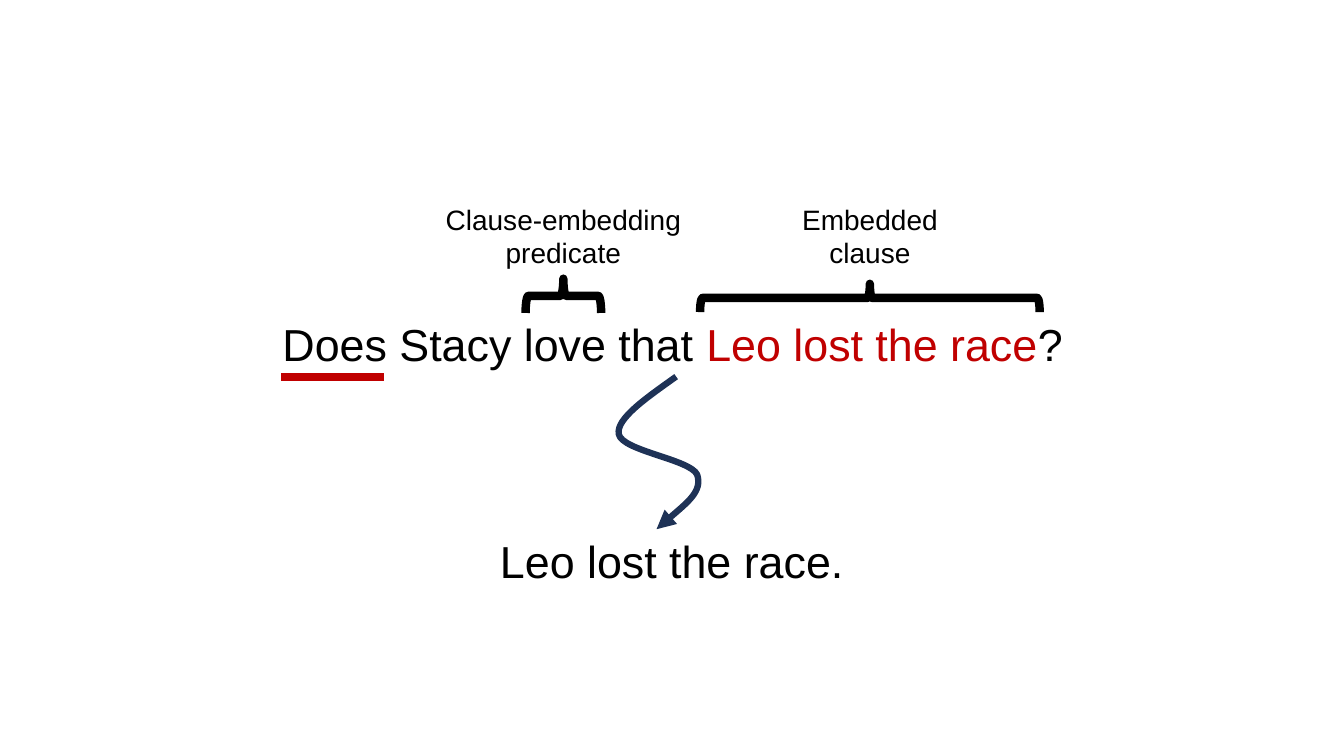
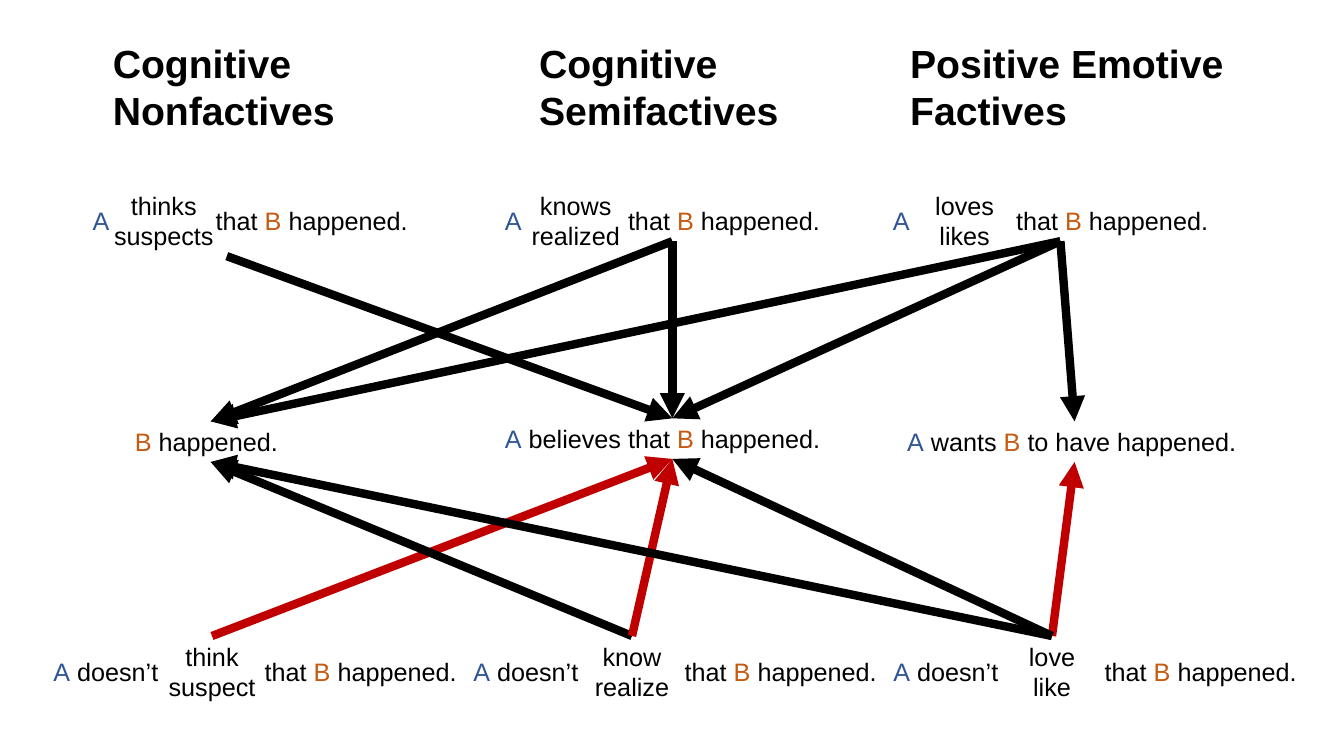
from pptx import Presentation
from pptx.dml.color import RGBColor as Rgb
from pptx.enum.shapes import MSO_CONNECTOR as Link, MSO_SHAPE as Form
from pptx.enum.text import PP_ALIGN as Align
from pptx.oxml.ns import qn
from pptx.util import Pt
from lxml.etree import SubElement as Sub

FONT = "Arial"
BLACK, RED, NAVY = "000000", "C00000", "1E3256"
BLUE, ORANGE = "2F5597", "C55A11"
TOP, BOTTOM = 0, 2


def tint(target, color):
    """Set a fill or font colour from a hex string."""
    target.rgb = Rgb.from_string(color)


def text(slide, at, lines, size, align=Align.LEFT, bold=False, tab=None):
    """Add a text box; each line is a string or a list of (words, colour)."""
    box = slide.shapes.add_textbox(*map(Pt, at))
    frame = box.text_frame
    frame.word_wrap = True
    for i, line in enumerate(lines):
        para = frame.add_paragraph() if i else frame.paragraphs[0]
        para.alignment = align
        if tab:
            stops = Sub(para._p.get_or_add_pPr(), qn("a:tabLst"))
            Sub(stops, qn("a:tab"), pos=str(Pt(tab)), algn="l")
        font = para.font
        font.name, font.size, font.bold = FONT, Pt(size), bold
        tint(font.color, BLACK)
        for words, color in [(line, BLACK)] if isinstance(line, str) else line:
            run = para.add_run()
            run.text = words
            if color != BLACK:
                tint(run.font.color, color)
    return box


def stroke(shape, color, width, head=False):
    """Style a line, with a triangle at its end if wanted."""
    line = shape.line
    tint(line.color, color)
    line.width = Pt(width)
    if head:
        Sub(line._get_or_add_ln(), qn("a:tailEnd"), type="triangle")


def rule(slide, start, end, color, head=False):
    """Add a thick straight line between two points."""
    line = slide.shapes.add_connector(Link.STRAIGHT, *map(Pt, start + end))
    stroke(line, color, 6, head)
    Sub(line._element.spPr, qn("a:effectLst"))
    return line


def mid(box, side):
    """Return the middle of a box's top or bottom, in points."""
    edge = box.top + (box.height if side == BOTTOM else 0)
    return (box.left + box.width / 2) / Pt(1), edge / Pt(1)


def arrow(slide, start, target, side, color=BLACK):
    """Add an arrow from a point or a joined box to a target box."""
    joined = not isinstance(start, tuple)
    away = BOTTOM if side == TOP else TOP
    begin = mid(start, away) if joined else start
    line = rule(slide, begin, mid(target, side), color, True)
    if joined:
        line.begin_connect(start, away)
    line.end_connect(target, side)


def brace(slide, center, y, span, depth):
    """Add a brace that opens downward, centred on a point."""
    at = center - depth / 2, y - span / 2, depth, span
    shape = slide.shapes.add_shape(Form.RIGHT_BRACE, *map(Pt, at))
    shape.rotation = 270
    shape.shadow.inherit = False
    shape.fill.background()
    stroke(shape, BLACK, 6)


def curve(slide, start, points):
    """Add a curved arrow from cubic control points."""
    pen = slide.shapes.build_freeform(*start, scale=Pt(1))
    pen.add_line_segments(points, close=False)
    shape = pen.convert_to_shape()
    shape.shadow.inherit = False
    shape.fill.background()
    stroke(shape, NAVY, 4.5, True)
    geo = shape._element.xpath(".//a:path")[0]
    steps = geo.findall(qn("a:lnTo"))
    for i in range(0, len(steps), 3):
        bend = Sub(geo, qn("a:cubicBezTo"))
        for step in steps[i:i + 3]:
            bend.append(step[0])
            geo.remove(step)


def clause(slide):
    """Build the slide on the embedded clause."""
    mids = Align.CENTER
    ask = [("Does Stacy love that ", BLACK), ("Leo lost the race", RED),
           ("?", BLACK)]
    text(slide, (189.5, 223, 582, 46), [ask], 32, mids)
    text(slide, (219, 378, 522, 46), ["Leo lost the race."], 32, mids)
    curve(slide, (483, 269.3),
          [(461.5, 283.7), (440, 298.8), (442, 310.3),
           (444.2, 321.8), (493.2, 327.6), (497.5, 339.1),
           (501.8, 350.6), (485.3, 364.3), (468.7, 378)])
    for words, center, width, y, span, depth in (
            ("Embedded clause", 621.4, 162.7, 212.8, 242.6, 20.2),
            ("Clause-embedding predicate", 402.4, 186.5, 211.3, 54, 24.5)):
        brace(slide, center, y, span, depth)
        text(slide, (center - width / 2, 141, width, 55.5), [words], 20, mids)
    rule(slide, (201, 269.3), (274.5, 269.3), RED)


def verbs(slide):
    """Build the slide on the three classes of verbs."""
    doer, done = ("A", BLUE), [("B", ORANGE), (" happened.", BLACK)]
    says, fact = [], []
    for title, tx, tw, x, pair, px, pw in (
            ("Cognitive Nonfactives", 73.5, 216, 59,
             ["thinks", "suspects"], 72, 90),
            ("Cognitive Semifactives", 378, 216, 353.5,
             ["knows", "realized"], 369.5, 83.5),
            ("Positive Emotive Factives", 643, 243, 630.7,
             ["loves", "likes"], 647.3, 83.5)):
        text(slide, (tx, 24.5, tw, 75), [title], 28, bold=True)
        line = [doer, ("\tthat ", BLACK)] + done
        says.append(text(slide, (x, 143.3, 253.5, 29), [line], 18, tab=88))
        text(slide, (px, 132.5, pw, 51), pair, 18, Align.CENTER)

    nots = []
    for i, pair in enumerate((["think", "suspect"], ["know", "realize"],
                              ["love", "like"])):
        x = 31 + 300 * i
        line = [doer, (" doesn’t\tthat ", BLACK)] + done
        text(slide, (x, 465, 310, 29), [line], 18, tab=151)
        nots.append(text(slide, (x + 78.7, 454.3, 83.5, 51), pair, 18,
                         Align.CENTER))

    for x, y, width, line in (
            (89.3, 301, 122.4, done),
            (353.5, 298.8, 253.5, [doer, (" believes that ", BLACK)] + done),
            (640.8, 301, 253.5, [doer, (" wants ", BLACK), done[0],
                                 (" to have happened.", BLACK)])):
        fact.append(text(slide, (x, y, width, 29), [line], 18))

    arrow(slide, (162, 183), fact[1], TOP)
    for i, j in ((1, 0), (1, 1), (2, 0), (2, 1), (2, 2)):
        arrow(slide, says[i], fact[j], TOP)
    for i, j, color in ((2, 2, RED), (0, 1, RED), (1, 0, BLACK),
                        (1, 1, RED), (2, 1, BLACK), (2, 0, BLACK)):
        arrow(slide, nots[i], fact[j], BOTTOM, color)


def main():
    """Build and save the deck."""
    deck = Presentation()
    deck.slide_width, deck.slide_height = Pt(960), Pt(540)
    for build in (clause, verbs):
        build(deck.slides.add_slide(deck.slide_layouts[6]))
    deck.save("out.pptx")


if __name__ == "__main__":
    main()
